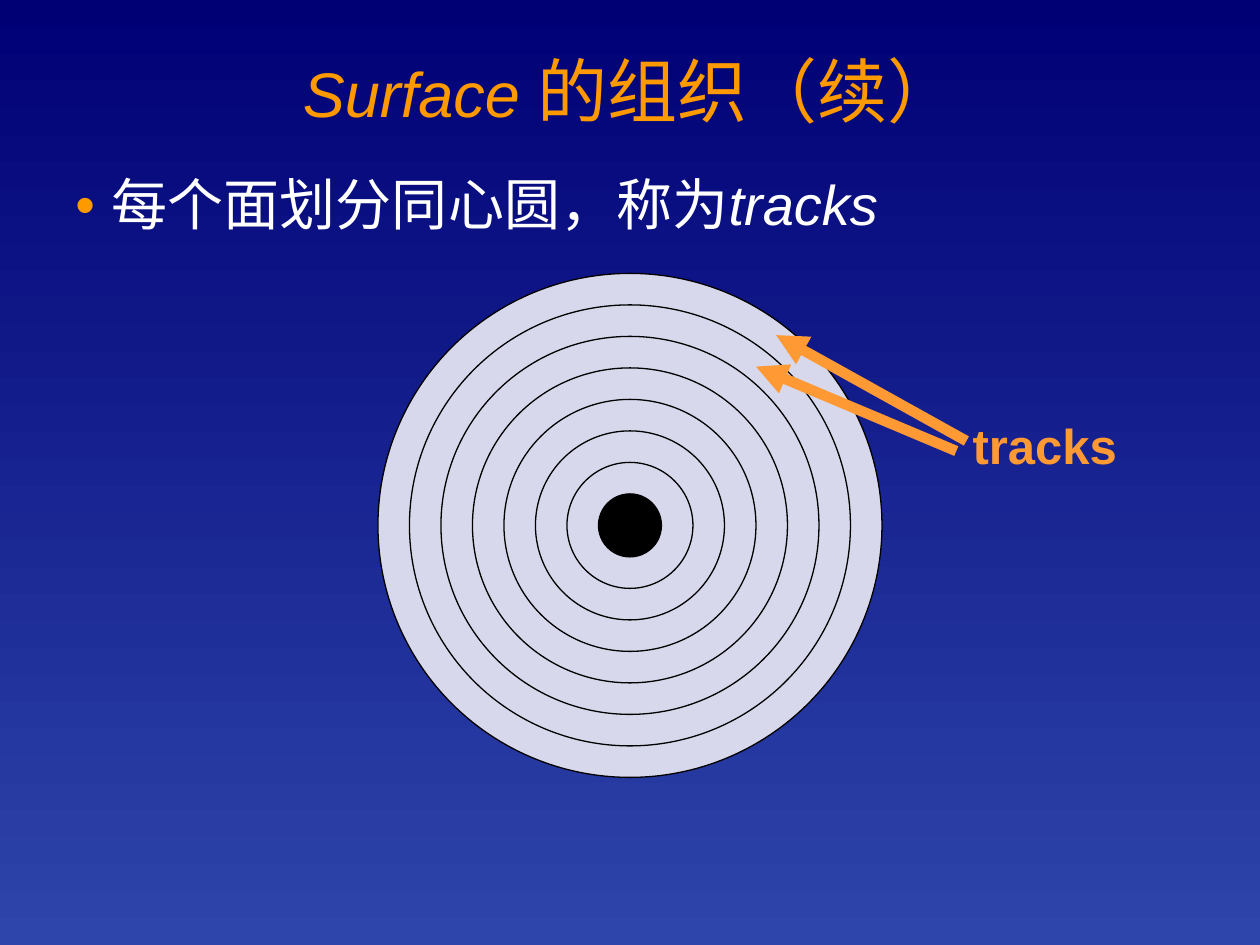
"""Build a slide that shows the tracks on a disk surface."""
from lxml import etree
from pptx import Presentation
from pptx.dml.color import RGBColor
from pptx.enum import shapes, text
from pptx.oxml import ns
from pptx.util import Inches, Pt

NAVY = RGBColor(0x00, 0x00, 0x75)
BLUE = RGBColor(0x2E, 0x45, 0xAB)
GOLD = RGBColor(0xFF, 0x99, 0x00)
AMBER = RGBColor(0xFF, 0x99, 0x33)
PALE = RGBColor(0xD8, 0xD8, 0xEC)
WHITE = RGBColor(0xFF, 0xFF, 0xFF)
BLACK = RGBColor(0x00, 0x00, 0x00)
LATIN = "Arial"
HAN = "Noto Sans CJK SC"
MID = (5, 4.17)


def add_tag(parent, tag, **attrs):
    """Append an XML element to a parent and return it."""
    return etree.SubElement(parent, ns.qn(tag), **attrs)


def paint_back(slide):
    """Fill the background with a gradient from top to bottom."""
    fill = slide.background.fill
    fill.gradient()
    fill.gradient_angle = 270
    for stop, place, color in zip(fill.gradient_stops, (0, 1), (NAVY, BLUE)):
        stop.position = place
        stop.color.rgb = color


def add_run(para, words, size, color, face=LATIN, bold=False, italic=False):
    """Add one formatted run to a paragraph."""
    run = para.add_run()
    run.text = words
    font = run.font
    font.size, font.name = Pt(size), face
    font.bold, font.italic = bold, italic
    font.color.rgb = color
    add_tag(font._element, "a:ea", typeface=HAN)


def set_title(slide):
    """Place and write the title."""
    title = slide.shapes.title
    title.left, title.top = Inches(0.5), Inches(0.25)
    title.width, title.height = Inches(9), Inches(1.03)
    title.text_frame.vertical_anchor = text.MSO_ANCHOR.MIDDLE
    para = title.text_frame.paragraphs[0]
    para.alignment = text.PP_ALIGN.CENTER
    para.line_spacing = 0.85
    add_run(para, "Surface ", 36, GOLD, italic=True)
    add_run(para, "的组织（续）", 40, GOLD)


def add_point(slide):
    """Add the bulleted statement."""
    box = slide.shapes.add_textbox(Inches(0.5), Inches(1.33), Inches(9), Inches(5.58))
    box.text_frame.word_wrap = True
    para = box.text_frame.paragraphs[0]
    para.line_spacing = 0.96
    props = para._p.get_or_add_pPr()
    props.set("marL", str(Inches(0.29)))
    props.set("indent", str(Inches(-0.29)))
    add_tag(add_tag(props, "a:buClr"), "a:srgbClr", val=str(GOLD))
    add_tag(props, "a:buFont", typeface=LATIN)
    add_tag(props, "a:buChar", char="•")
    add_run(para, "每个面划分同心圆，称为", 32, WHITE, HAN)
    add_run(para, "tracks", 32, WHITE, italic=True)


def add_ring(group, size, color=None):
    """Add a circle around the middle of the disk."""
    left, top = (Inches(mid - size / 2) for mid in MID)
    ring = group.shapes.add_shape(
        shapes.MSO_SHAPE.OVAL, left, top, Inches(size), Inches(size))
    ring.shadow.inherit = False
    if color is None:
        ring.fill.background()
    else:
        ring.fill.solid()
        ring.fill.fore_color.rgb = color
    ring.line.color.rgb = BLACK
    ring.line.width = Pt(0.75)


def add_label(group):
    """Add the label of the tracks."""
    box = group.shapes.add_textbox(Inches(7.62), Inches(3.29), Inches(1.41), Inches(0.54))
    box.text_frame.word_wrap = False
    box.text_frame.auto_size = text.MSO_AUTO_SIZE.SHAPE_TO_FIT_TEXT
    para = box.text_frame.paragraphs[0]
    para.line_spacing = 0.93
    add_run(para, "tracks", 28, AMBER, bold=True)


def add_arrow(group, start, end):
    """Add a thick arrow from start to end."""
    arrow = group.shapes.add_connector(
        shapes.MSO_CONNECTOR.STRAIGHT, *map(Inches, start + end))
    arrow.line.color.rgb = AMBER
    arrow.line.width = Pt(6)
    add_tag(arrow.line._get_or_add_ln(), "a:tailEnd", type="triangle")
    add_tag(arrow._element.spPr, "a:effectLst")


def main():
    """Build and save the slide."""
    deck = Presentation()
    deck.slide_width, deck.slide_height = Inches(10), Inches(7.5)
    slide = deck.slides.add_slide(deck.slide_layouts[5])
    paint_back(slide)
    set_title(slide)
    add_point(slide)
    disk = slide.shapes.add_group_shape()
    add_ring(disk, 4, PALE)
    add_ring(disk, 0.5, BLACK)
    for step in range(2, 8):
        add_ring(disk, step * 0.5)
    add_label(disk)
    add_arrow(disk, (7.67, 3.5), (6.16, 2.66))
    add_arrow(disk, (7.59, 3.58), (6, 2.91))
    deck.save("out.pptx")


if __name__ == "__main__":
    main()
